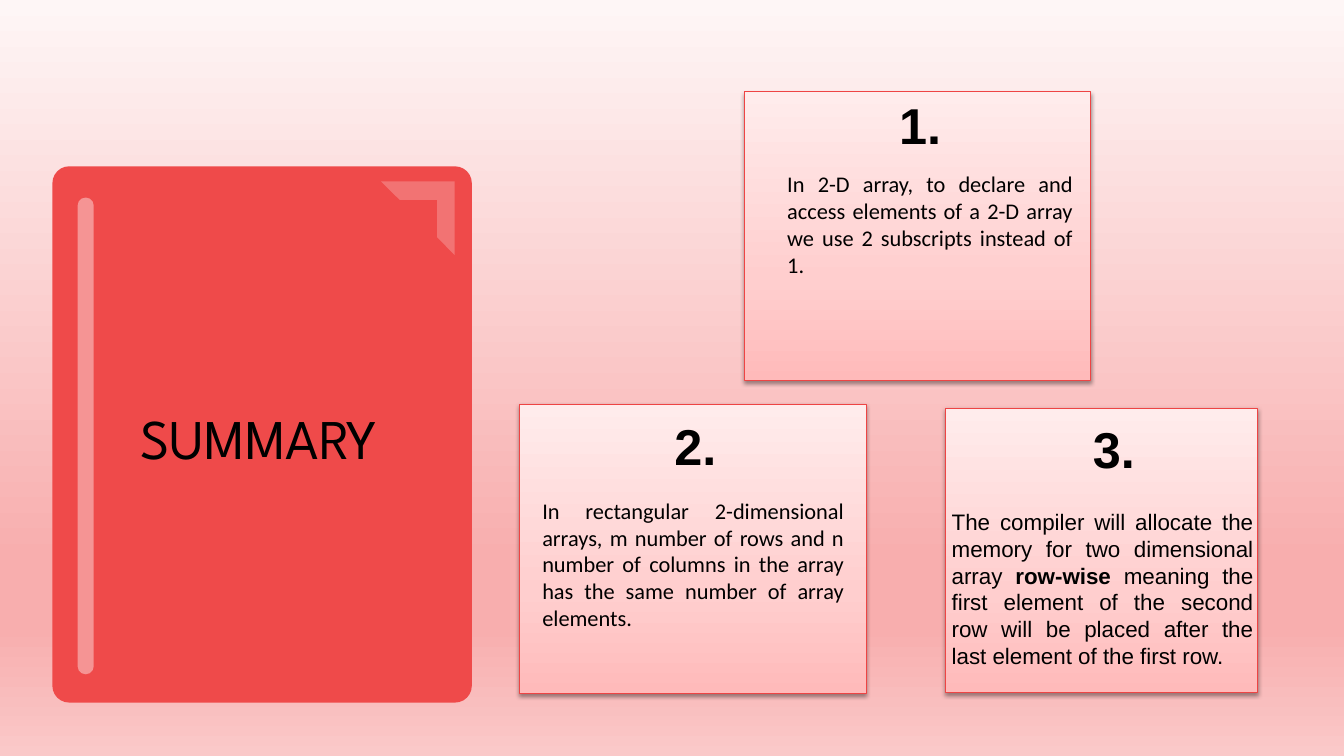
from lxml.etree import SubElement as Sub
from pptx import Presentation
from pptx.dml.color import RGBColor as RGB
from pptx.enum.shapes import MSO_SHAPE as Kind
from pptx.enum.text import MSO_AUTO_SIZE as Fit, PP_ALIGN as Align
from pptx.oxml.ns import qn
from pptx.util import Inches, Pt

RED = RGB(0xEF, 0x4A, 0x4A)
EDGE = RGB(0xEE, 0x44, 0x44)
WHITE = RGB(0xFF, 0xFF, 0xFF)
BLACK = RGB(0, 0, 0)
SKY = [(0, RGB(0xFE, 0xF6, 0xF6)), (74, RGB(0xF8, 0xAE, 0xAE)),
       (83, RGB(0xF8, 0xAE, 0xAE)), (100, RGB(0xFA, 0xC9, 0xC9))]
BLUSH = [(0, RGB(0xFF, 0xBA, 0xBA)), (35, RGB(0xFF, 0xCE, 0xCE)),
         (100, RGB(0xFF, 0xEC, 0xEC))]

TITLE = {"size": Pt(40), "name": "League Spartan"}
HEAD = {"size": Pt(36), "name": "Arial", "bold": True}
BODY = {"size": Pt(16), "name": "Calibri"}
PLAIN = {"size": Pt(16), "name": "Arial"}
STRONG = {**PLAIN, "bold": True}

CARDS = [
    ((9.38, 4.05, 3.09, 2.82), "3.", (10.74, 4.1, 0.82, 0.71), (9.34, 4.99, 3.19, 1.72),
     [("The compiler will allocate the memory for two dimensional array ", PLAIN),
      ("row-wise", STRONG),
      (" meaning the first element of the second row will be placed after "
       "the last element of the first row.", PLAIN)]),
    ((5.15, 4.01, 3.44, 2.87), "2.", (6.59, 4.07, 0.82, 0.71), (5.28, 4.88, 3.19, 1.45),
     [("In rectangular 2-dimensional arrays, m number of rows and n number of "
       "columns in the array has the same number of array elements. ", BODY)]),
    ((7.38, 0.91, 3.44, 2.87), "1.", (8.82, 0.88, 0.81, 0.71), (7.71, 1.64, 3.03, 1.18),
     [("In 2-D array, to declare and access elements of a 2-D array we use "
       "2 subscripts instead of 1.", BODY)]),
]


class Page:
    def __init__(self, slide):
        self.slide = slide
        self.font = {"bold": False}

    def blend(self, owner, fill, stops, angle):
        fill.gradient()
        fill.gradient_angle = angle
        items = owner.find(".//" + qn("a:gsLst"))
        for old in list(items):
            items.remove(old)
        for spot, color in stops:
            stop = Sub(items, qn("a:gs"), pos=str(spot * 1000))
            Sub(stop, qn("a:srgbClr"), val=str(color))

    def back(self, stops):
        self.blend(self.slide._element, self.slide.background.fill, stops, 270)

    def shape(self, kind, box, color, adjust=(), alpha=100, turn=0):
        item = self.slide.shapes.add_shape(kind, *map(Inches, box))
        item.shadow.inherit = False
        item.rotation = turn
        for index, value in enumerate(adjust):
            item.adjustments[index] = value
        item.fill.solid()
        item.fill.fore_color.rgb = color
        item.line.fill.background()
        if alpha < 100:
            tone = item._element.spPr.find(".//" + qn("a:srgbClr"))
            Sub(tone, qn("a:alpha"), val=str(alpha * 1000))
        return item

    def card(self, box):
        item = self.shape(Kind.RECTANGLE, box, WHITE)
        self.blend(item._element, item.fill, BLUSH, 90)
        item.line.color.rgb = EDGE
        item.line.width = Pt(0.75)
        effect = item._element.spPr.find(qn("a:effectLst"))
        shade = Sub(effect, qn("a:outerShdw"), blurRad=str(Pt(3.1)),
                    dist=str(Pt(1.6)), dir="5400000", rotWithShape="0")
        tone = Sub(shade, qn("a:srgbClr"), val=str(BLACK))
        Sub(tone, qn("a:alpha"), val="38000")

    def text(self, box, parts, align=Align.LEFT):
        frame = self.slide.shapes.add_textbox(*map(Inches, box)).text_frame
        frame.word_wrap = True
        frame.auto_size = Fit.SHAPE_TO_FIT_TEXT
        para = frame.paragraphs[0]
        para.alignment = align
        for words, style in parts:
            run = para.add_run()
            run.text = words
            for key, value in {**self.font, **style}.items():
                setattr(run.font, key, value)
            run.font.color.rgb = BLACK


def main():
    deck = Presentation()
    deck.slide_width = Inches(13.33)
    deck.slide_height = Inches(7.5)
    page = Page(deck.slides.add_slide(deck.slide_layouts[6]))
    page.back(SKY)
    page.shape(Kind.ROUNDED_RECTANGLE, (0.52, 1.65, 4.16, 5.32), RED, [0.04])
    page.shape(Kind.ROUNDED_RECTANGLE, (0.77, 1.96, 0.16, 4.73), WHITE, [0.5], 41)
    page.shape(Kind.HALF_FRAME, (3.78, 1.8, 0.73, 0.73), WHITE, [0.24, 0.25], 23, 90)
    page.text((0.97, 3.95, 3.19, 0.77), [("SUMMARY", TITLE)], Align.CENTER)
    for box, label, top, area, parts in CARDS:
        page.card(box)
        page.text(top, [(label, HEAD)])
        page.text(area, parts, Align.JUSTIFY)
    deck.save("out.pptx")


if __name__ == "__main__":
    main()
